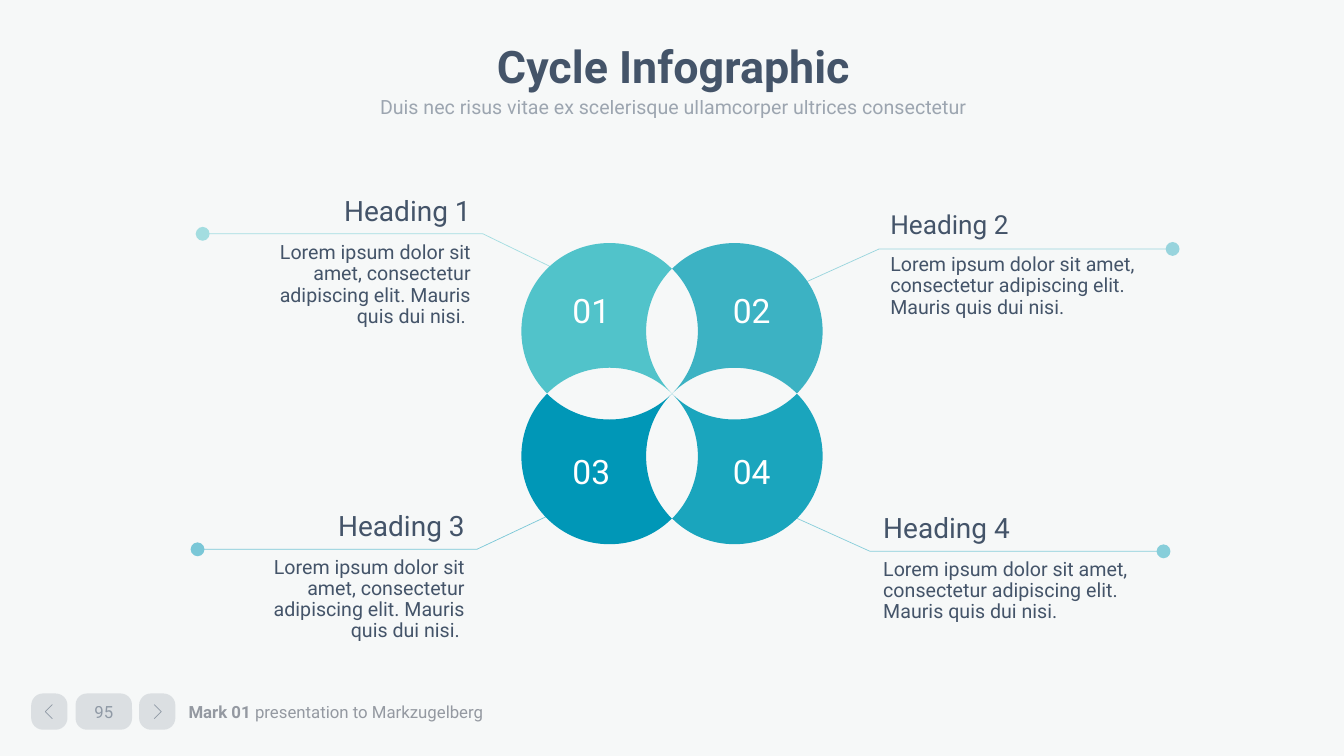
"""Build the cycle infographic slide with four petals and four callouts."""
from dataclasses import dataclass
import typing

import pptx
import pptx.dml.color
import pptx.enum.shapes
import pptx.enum.text
import pptx.oxml
import pptx.oxml.ns
import pptx.util

Inches = pptx.util.Inches
Pt = pptx.util.Pt
qn = pptx.oxml.ns.qn
ALIGN = pptx.enum.text.PP_ALIGN
ANCHOR = pptx.enum.text.MSO_ANCHOR
Point = tuple[float, float]
Box = tuple[float, float, float, float]

INK = "445469"
FONT = "Roboto"
SPAN = 1.75
UNIT = 1000
BEND = 0.55
TIPS = [(0, 1), (-1, 0), (0, -1), (1, 0), (0, 1)]
PULLS = [(-1, 1), (-1, -1), (0, 0), (0, 0)]
LOREM = ("Lorem ipsum dolor sit amet, consectetur adipiscing elit. "
         "Mauris quis dui nisi.")


@dataclass
class Run:
    text: str
    size: float
    color: str = INK
    bold: bool = False


@dataclass
class Petal:
    label: str
    color: str
    col: int
    row: int
    turn: int


@dataclass
class Callout:
    head: str
    size: float
    body: str
    box: Box
    align: ALIGN
    color: str
    leader: list[Point]


@dataclass
class Button:
    left: float
    width: float
    round: float
    turn: int = 0
    label: str = ""


PETALS = [
    Petal("01", "51C3CA", 0, 0, 45),
    Petal("02", "3CB2C3", 1, 0, 135),
    Petal("03", "0097B7", 0, 1, 315),
    Petal("04", "1AA5BD", 1, 1, 225),
]
CALLOUTS = [
    Callout("Heading 1", 20, LOREM + " ", (2.31, 1.91, 2.49, 1.41), ALIGN.RIGHT,
            "51C3CA", [(5.49, 2.66), (4.79, 2.32), (2.01, 2.32)]),
    Callout("Heading 2", 18.7, LOREM, (8.7, 2.05, 2.75, 1.17), ALIGN.LEFT,
            "3CB2C3", [(7.99, 2.8), (8.72, 2.47), (11.63, 2.47)]),
    Callout("Heading 3", 20, LOREM + " ", (2.25, 5.03, 2.49, 1.41), ALIGN.RIGHT,
            "0097B7", [(5.43, 5.12), (4.73, 5.45), (1.96, 5.45)]),
    Callout("Heading 4", 20, LOREM, (8.63, 5.05, 2.75, 1.19), ALIGN.LEFT,
            "1AA5BD", [(7.9, 5.14), (8.63, 5.47), (11.54, 5.47)]),
]
BUTTONS = [
    Button(0.31, 0.36, 0.327, turn=-1),
    Button(0.75, 0.56, 0.311, label="95"),
    Button(1.38, 0.36, 0.327, turn=1),
]


def rgb(code: str) -> pptx.dml.color.RGBColor:
    """Turn a hex string into a colour."""
    return pptx.dml.color.RGBColor.from_string(code)


def apply(item: typing.Any, values: dict[str, typing.Any]) -> None:
    """Set each named attribute on the item."""
    for name, value in values.items():
        setattr(item, name, value)


def fade(node: typing.Any, share: int) -> None:
    """Give every colour under the node an opacity in percent."""
    for color in node.iter(qn("a:srgbClr")):
        alpha = color.makeelement(qn("a:alpha"), {"val": str(share * 1000)})
        color.append(alpha)


def paint(shape: typing.Any, color: str) -> None:
    """Give the shape a plain fill with no line or shadow."""
    shape.shadow.inherit = False
    shape.fill.solid()
    shape.fill.fore_color.rgb = rgb(color)
    shape.line.fill.background()


def write(shape: typing.Any, paras: list[list[Run]], align: ALIGN = ALIGN.LEFT,
          space: float = 0.9, anchor: ANCHOR = ANCHOR.TOP,
          pad: Point = (0.13, 0.05)) -> None:
    """Fill the shape with formatted paragraphs."""
    frame = shape.text_frame
    wide, high = map(Inches, pad)
    apply(frame, {"word_wrap": True, "vertical_anchor": anchor,
                  "margin_left": wide, "margin_right": wide,
                  "margin_top": high, "margin_bottom": high})
    for num, runs in enumerate(paras):
        para = frame.add_paragraph() if num else frame.paragraphs[0]
        apply(para, {"alignment": align, "line_spacing": space,
                     "space_before": Pt(10.7 if num else 0)})
        for item in runs:
            run = para.add_run()
            run.text = item.text
            apply(run.font, {"name": FONT, "size": Pt(item.size), "bold": item.bold})
            run.font.color.rgb = rgb(item.color)


def add_text(slide: typing.Any, box: Box, paras: list[list[Run]],
             **style: typing.Any) -> typing.Any:
    """Add a text box."""
    shape = slide.shapes.add_textbox(*map(Inches, box))
    write(shape, paras, **style)
    return shape


def add_path(slide: typing.Any, points: list[Point], color: str) -> typing.Any:
    """Add a thin, half-clear open line."""
    spots = [(Inches(x), Inches(y)) for x, y in points]
    pen = slide.shapes.build_freeform(*spots[0])
    pen.add_line_segments(spots[1:], close=False)
    shape = pen.convert_to_shape()
    shape.shadow.inherit = False
    shape.fill.background()
    shape.line.width = Pt(0.5)
    shape.line.color.rgb = rgb(color)
    fade(shape.element, 50)
    return shape


def grid(spot: Point) -> tuple[int, int]:
    """Map a point of the unit circle's square to path units."""
    return round((spot[0] + 1) * UNIT), round((spot[1] + 1) * UNIT)


def lean(spot: Point, pull: Point) -> Point:
    """Move a point part of the way to its pull."""
    return spot[0] + BEND * (pull[0] - spot[0]), spot[1] + BEND * (pull[1] - spot[1])


def add_petal(slide: typing.Any, petal: Petal) -> None:
    """Add one petal of four quarter curves, grouped with its number."""
    group = slide.shapes.add_group_shape()
    tips = [grid(tip) for tip in TIPS]
    pen = group.shapes.build_freeform(*tips[0], scale=Inches(SPAN) / (2 * UNIT))
    pen.add_line_segments(tips[1:], close=True)
    shape = pen.convert_to_shape(Inches(5.17 + 1.24 * petal.col),
                                 Inches(2.41 + 1.24 * petal.row))
    sides = list(shape.element.iter(qn("a:lnTo")))
    for side, start, stop, pull in zip(sides, TIPS, TIPS[1:], PULLS):
        curve = side.makeelement(qn("a:cubicBezTo"), {})
        for spot in (lean(start, pull), lean(stop, pull), stop):
            x, y = grid(spot)
            curve.append(curve.makeelement(qn("a:pt"), {"x": str(x), "y": str(y)}))
        side.getparent().replace(side, curve)
    shape.rotation = petal.turn
    paint(shape, petal.color)
    box = (5.52 + 1.59 * petal.col, 2.87 + 1.6 * petal.row, 0.69, 0.46)
    add_text(group, box, [[Run(petal.label, 24, "FFFFFF")]], align=ALIGN.CENTER)


def add_callout(slide: typing.Any, note: Callout) -> None:
    """Add a leader with a round end, and its text."""
    shape = add_path(slide, note.leader, note.color)
    line = shape.element.spPr.find(qn("a:ln"))
    line.append(line.makeelement(qn("a:tailEnd"), {"type": "oval", "w": "lg", "len": "lg"}))
    add_text(slide, note.box, [[Run(note.head, note.size)], [Run(note.body, 14)]],
             align=note.align)


def add_button(slide: typing.Any, button: Button) -> None:
    """Add a footer button with a chevron or the page number."""
    kind = pptx.enum.shapes.MSO_SHAPE.ROUNDED_RECTANGLE
    box = (button.left, 6.88, button.width, 0.36)
    shape = slide.shapes.add_shape(kind, *map(Inches, box))
    shape.adjustments[0] = button.round
    paint(shape, INK)
    fade(shape.element, 15)
    if button.label:
        write(shape, [[Run(button.label, 12)]], align=ALIGN.CENTER, space=1.0,
              anchor=ANCHOR.MIDDLE, pad=(0, 0))
        fade(shape.element.find(qn("p:txBody")), 50)
    if button.turn:
        mid = button.left + button.width / 2
        back, tip = mid - 0.03 * button.turn, mid + 0.04 * button.turn
        add_path(slide, [(back, 6.99), (tip, 7.06), (back, 7.13)], INK)


def main() -> None:
    """Draw the slide and save it."""
    deck = pptx.Presentation()
    apply(deck, {"slide_width": Inches(13.33), "slide_height": Inches(7.5)})
    slide = deck.slides.add_slide(deck.slide_layouts[6])
    slide.background.fill.solid()
    slide.background.fill.fore_color.rgb = rgb("F6F8F8")
    for button in BUTTONS:
        add_button(slide, button)
    add_text(slide, (1.74, 6.89, 3.67, 0.34),
             [[Run("Mark 01 ", 12, "9499A1", True),
               Run("presentation to Markzugelberg", 12, "9499A1")]],
             space=1.0, anchor=ANCHOR.MIDDLE, pad=(0.13, 0.07))
    for note in CALLOUTS:
        add_callout(slide, note)
    for petal in PETALS:
        add_petal(slide, petal)
    add_text(slide, (0.93, 0.4, 11.5, 0.56), [[Run("Cycle Infographic", 32, bold=True)]],
             align=ALIGN.CENTER, anchor=ANCHOR.MIDDLE)
    lead = "Duis nec risus vitae ex scelerisque ullamcorper ultrices consectetur"
    shape = add_text(slide, (1.96, 0.85, 9.44, 0.42), [[Run(lead, 14)]],
                     align=ALIGN.CENTER, space=1.2)
    fade(shape.element, 50)
    deck.save("out.pptx")


if __name__ == "__main__":
    main()
